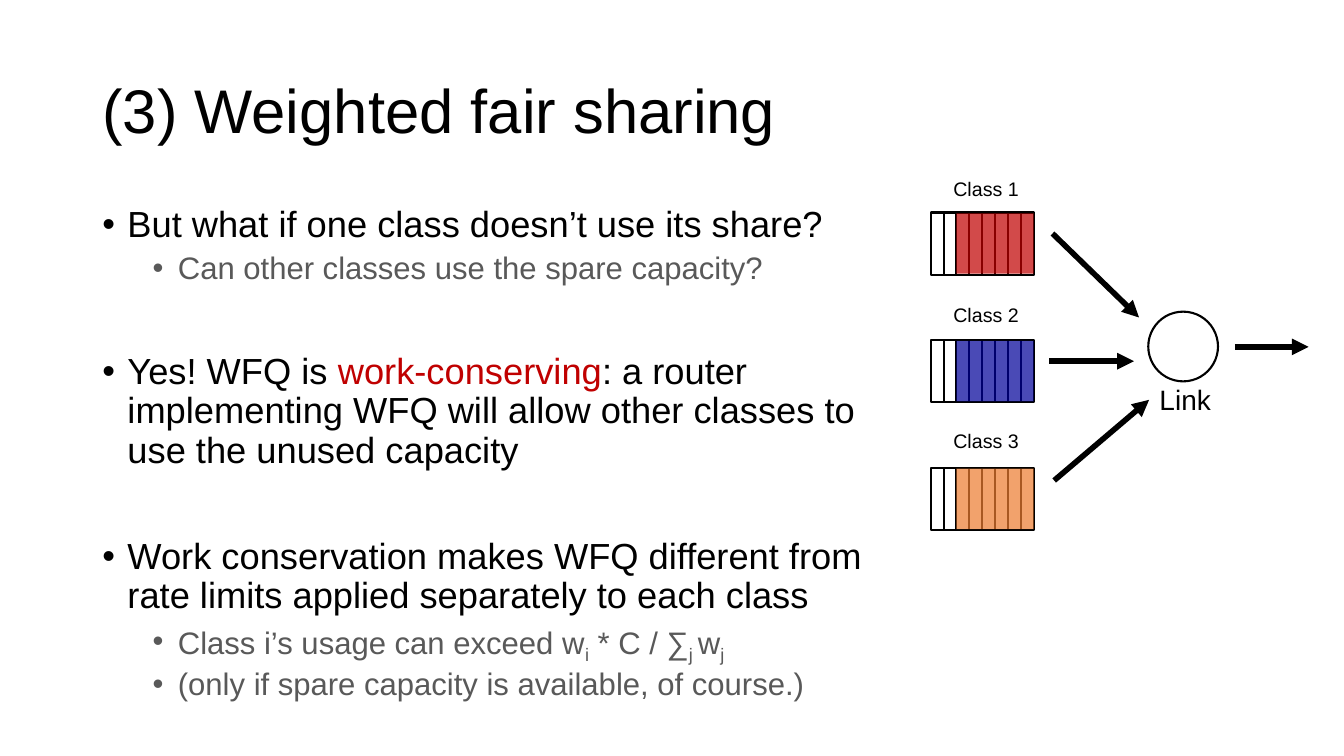
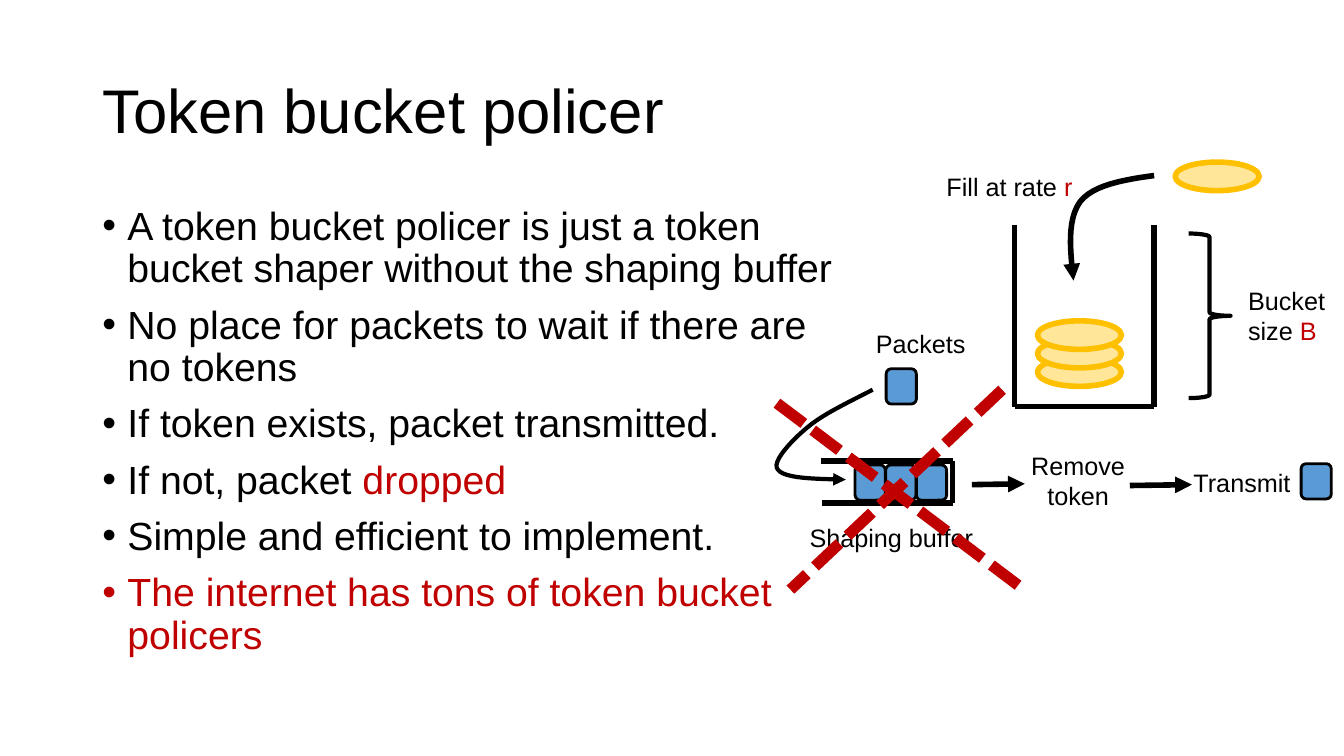
from pptx import Presentation
from pptx.dml.color import RGBColor
from pptx.enum.dml import MSO_LINE
from pptx.enum.shapes import MSO_CONNECTOR as Connector, MSO_SHAPE as Preset
from pptx.enum.text import MSO_ANCHOR as Anchor, PP_ALIGN as Align
from pptx.oxml.ns import qn
from pptx.util import Inches, Pt
from lxml.etree import SubElement

COLUMNS, ROWS = 160, 90
CELL = Inches(13.333) / COLUMNS
BLACK, GREY, RED = "000000", "595959", "C00000"


def color(value):
    return RGBColor.from_string(value)


def cells(*lengths):
    return [round(length * CELL) for length in lengths]


def apply(target, formats):
    for name, value in formats.items():
        setattr(target, name, value)


def bezier(start, curves, steps=12):
    points = [start]
    for first, second, end in curves:
        origin = points[-1]
        for step in range(1, steps + 1):
            t = step / steps
            weights = (1 - t) ** 3, 3 * t * (1 - t) ** 2, 3 * t ** 2 * (1 - t), t ** 3
            corners = origin, first, second, end
            points.append(tuple(sum(w * c[axis] for w, c in zip(weights, corners))
                                for axis in (0, 1)))
    return points


class Deck:
    font = "Arial"
    text_inset = 3

    def __init__(self):
        self.presentation = Presentation()
        apply(self.presentation, {"slide_width": cells(COLUMNS)[0],
                                  "slide_height": cells(ROWS)[0]})
        self.shapes = None

    def new_slide(self, title):
        layout = self.presentation.slide_layouts[6]
        self.shapes = self.presentation.slides.add_slide(layout).shapes
        frame = self.frame(11, 4.8, 138, 17.4, Anchor.MIDDLE)
        self.fill_paragraph(frame.paragraphs[0], [title], 44, {"line_spacing": 0.9})

    def frame(self, left, top, width, height, anchor=Anchor.TOP):
        frame = self.shapes.add_textbox(*cells(left, top, width, height)).text_frame
        apply(frame, {"word_wrap": True, "vertical_anchor": anchor})
        return frame

    def fill_paragraph(self, paragraph, parts, size, formats, base=BLACK):
        apply(paragraph, formats)
        for part in parts:
            words, style = part if isinstance(part, tuple) else (part, base)
            run = paragraph.add_run()
            run.text = words
            apply(run.font, {"name": self.font, "size": Pt(size)})
            run.font.color.rgb = color(base if style == "sub" else style)
            if style == "sub":
                run.font._element.set("baseline", "-25000")

    def label(self, left, top, width, height, *parts, size=18, align=Align.LEFT):
        frame = self.frame(left, top, width, height)
        self.fill_paragraph(frame.paragraphs[0], parts, size, {"alignment": align})

    def bullets(self, width, height, sizes, items):
        frame = self.frame(11, 24, width, height)
        for index, (level, before, parts) in enumerate(items):
            paragraph = frame.add_paragraph() if index else frame.paragraphs[0]
            formats = {"level": level, "line_spacing": 0.9,
                       "space_before": Pt(before if index else 0)}
            apply(paragraph, formats)
            properties = paragraph._p.get_or_add_pPr()
            left, hanging = cells(3 + 6 * level, -3)
            properties.set("marL", str(left))
            properties.set("indent", str(hanging))
            SubElement(properties, qn("a:buFont")).set("typeface", self.font)
            SubElement(properties, qn("a:buChar")).set("char", "•")
            self.fill_paragraph(paragraph, parts, sizes[level], {}, (BLACK, GREY)[level])

    def stroke(self, shape, width, ink=BLACK, arrow=False, dash=None):
        shape.line.color.rgb = color(ink)
        apply(shape.line, {"width": Pt(width), "dash_style": dash})
        if arrow:
            outline = shape._element.spPr.find(qn("a:ln"))
            SubElement(outline, qn("a:tailEnd")).set("type", "triangle")

    def shape(self, preset, left, top, width, height, fill=None, line=None,
              ink=BLACK, opacity=None):
        shape = self.shapes.add_shape(preset, *cells(left, top, width, height))
        shape.shadow.inherit = False
        if fill:
            shape.fill.solid()
            shape.fill.fore_color.rgb = color(fill)
        else:
            shape.fill.background()
        if opacity:
            tint = shape._element.spPr.find(qn("a:solidFill"))[0]
            SubElement(tint, qn("a:alpha")).set("val", str(opacity * 1000))
        if line:
            self.stroke(shape, line, ink)
        else:
            shape.line.fill.background()

    def line(self, start, end, width=4, **stroke):
        line = self.shapes.add_connector(Connector.STRAIGHT, *cells(*start, *end))
        self.stroke(line, width, **stroke)
        SubElement(line._element.spPr, qn("a:effectLst"))

    def curved_arrow(self, start, curves, width):
        points = [cells(*point) for point in bezier(start, curves)]
        builder = self.shapes.build_freeform(*points[0])
        builder.add_line_segments(points[1:], close=False)
        curve = builder.convert_to_shape()
        curve.shadow.inherit = False
        curve.fill.background()
        self.stroke(curve, width, arrow=True)

    def queue(self, left, top, fill, slots=8, free=2):
        width, height = 12.25, 7.4
        slot = width / slots
        self.shape(Preset.RECTANGLE, left, top, width, height, line=1.5)
        for index in range(1, slots):
            x = left + index * slot
            self.line((x, top), (x, top + height), 1.5)
        self.shape(Preset.RECTANGLE, left + free * slot, top + 0.1,
                   (slots - free) * slot, height - 0.2, fill, opacity=71)

    def packet(self, left, top):
        self.shape(Preset.ROUNDED_RECTANGLE, left, top, 3.6, 4.2, "5B9BD5", 2)

    def coin(self, left, top):
        self.shape(Preset.OVAL, left, top, 10, 3.4, "FFE699", 4, "FFC000")


def weighted_fair_sharing(deck):
    deck.new_slide("(3) Weighted fair sharing")
    deck.bullets(95.4, 61.2, (25.9, 22.2), [
        (0, 0, ["But what if one class doesn’t use its share?"]),
        (1, 5, ["Can other classes use the spare capacity?"]),
        (0, 48, ["Yes! WFQ is ", ("work-conserving", RED),
                 ": a router implementing WFQ will allow other classes to use "
                 "the unused capacity"]),
        (0, 48, ["Work conservation makes WFQ different from rate limits applied "
                 "separately to each class"]),
        (1, 5, ["Class i’s usage can exceed w", ("i", "sub"), " * C / ∑",
                ("j ", "sub"), "w", ("j", "sub")]),
        (1, 5, ["(only if spare capacity is available, of course.)"]),
    ])
    for index, fill in enumerate((RED, "000099", "ED7D31")):
        deck.queue(110.8, 25.3 + 15.2 * index, fill)
        deck.label(111.4, 20.5 + 15 * index, 12, 4, f"Class {index + 1}",
                   size=14, align=Align.CENTER)
    deck.shape(Preset.OVAL, 136.7, 37.1, 8.3, 8.3, line=1.5)
    deck.label(135.1, 45, 12, 5.3, "Link", size=20, align=Align.CENTER)
    for start, end in [((125.3, 27.8), (135.6, 37.8)), ((125.5, 57.2), (136.8, 47.6)),
                       ((124.9, 43), (135, 43)), ((147, 41.3), (155.8, 41.3))]:
        deck.line(start, end, arrow=True)


def token_bucket_policer(deck):
    deck.new_slide("Token bucket policer")
    bucket = [(120.8, 26.8), (120.8, 48.4), (137.4, 48.4), (137.4, 26.8)]
    buffer = [(97.7, 54.85), (113.4, 54.85), (113.4, 59.9), (97.9, 59.9)]
    for outline in (bucket, buffer):
        for start, end in zip(outline, outline[1:]):
            deck.line(start, end)
    for index in range(3):
        deck.packet(101.8 + 3.65 * index, 55.35)
        deck.coin(123.5, 42.6 - 2.2 * index)
    deck.coin(139.9, 19.3)
    deck.packet(105.5, 43.9)
    deck.packet(154.9, 55.2)
    deck.bullets(91.4, 66, (28,), [(0, 10, parts) for parts in (
        ["A token bucket policer is just a token bucket shaper without the shaping buffer"],
        ["No place for packets to wait if there are no tokens"],
        ["If token exists, packet transmitted."],
        ["If not, packet ", ("dropped", RED)],
        ["Simple and efficient to implement."],
        [("The internet has tons of token bucket policers", RED)],
    )])
    deck.label(119, 53, 18.7, 8.5, "Remove token", align=Align.CENTER)
    deck.label(140.9, 55.1, 18.7, 4.8, "Transmit")
    deck.label(111.5, 19.8, 18.7, 4.8, "Fill at rate ", ("r", RED))
    deck.label(97.2 - 2, 61.6, 24, 4.8, "Shaping buffer")
    deck.label(147.4, 33.4, 12.6, 8.5, "Bucket size ", ("B", RED))
    deck.label(103.1, 38.5, 14.2, 4.8, "Packets")
    deck.shape(Preset.RIGHT_BRACE, 141.5, 27.8, 5, 19.6, line=3)
    deck.curved_arrow((137.4, 20.9), [
        ((133.8, 21.4), (130.2, 22), (128.6, 24)),
        ((127, 26.2), (127.4, 29.8), (127.8, 33.4))], 4)
    deck.curved_arrow((103.9, 46.4), [
        ((101, 47.9), (98, 49.3), (96.1, 50.9)),
        ((94.3, 52.4), (91.8, 55), (92.6, 55.9)),
        ((93.4, 57), (97.1, 57), (100.7, 57.1))], 3)
    deck.line((115.7, 57.7), (122, 57.6), arrow=True)
    deck.line((134.5, 57.8), (141.9, 57.7), arrow=True)
    for start, end in [((92.5, 48), (121.9, 70.2)), ((119.3, 46.4), (94.1, 70.2))]:
        deck.line(start, end, 8, ink=RED, dash=MSO_LINE.SQUARE_DOT)


def main():
    deck = Deck()
    weighted_fair_sharing(deck)
    token_bucket_policer(deck)
    deck.presentation.save("out.pptx")


if __name__ == "__main__":
    main()
